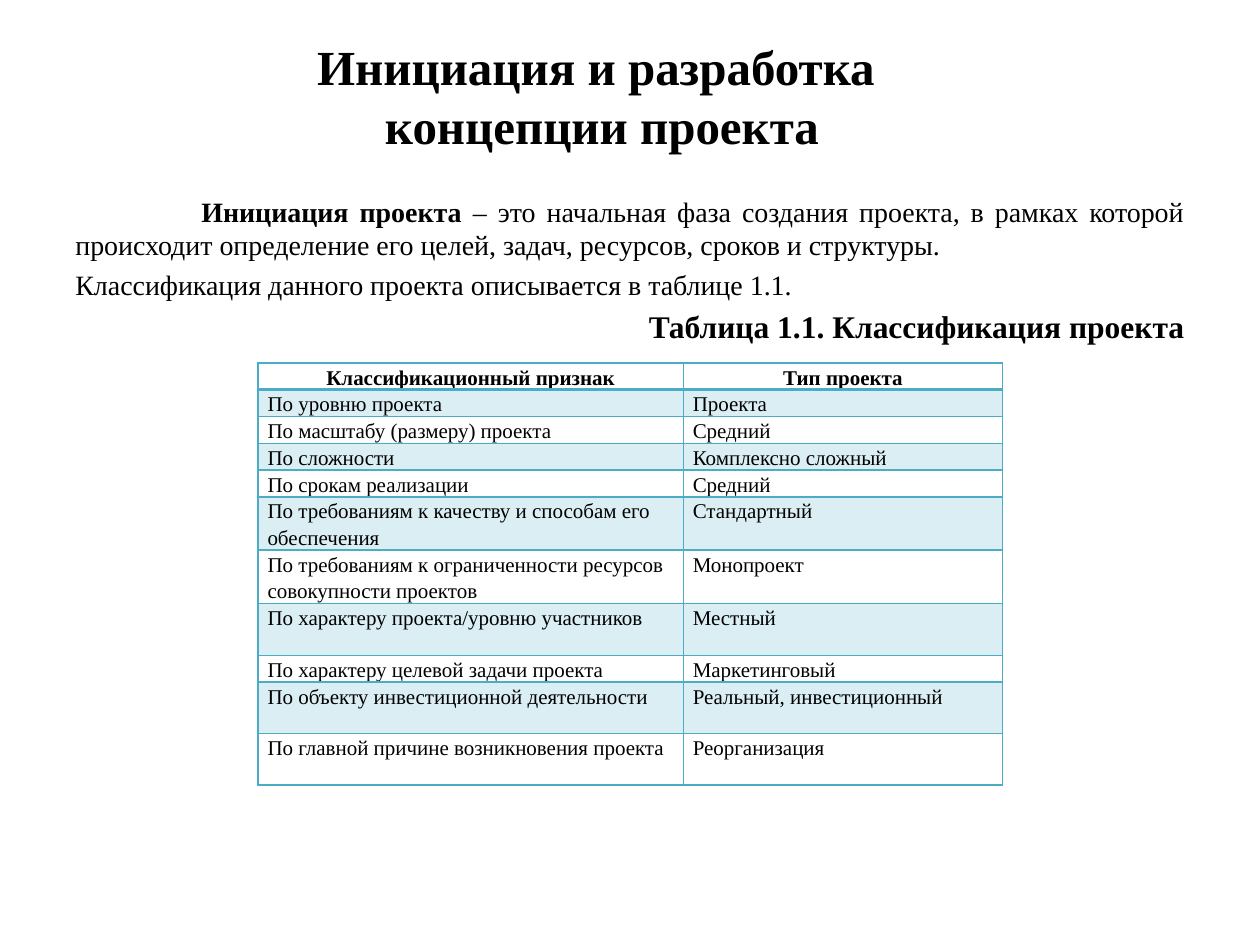
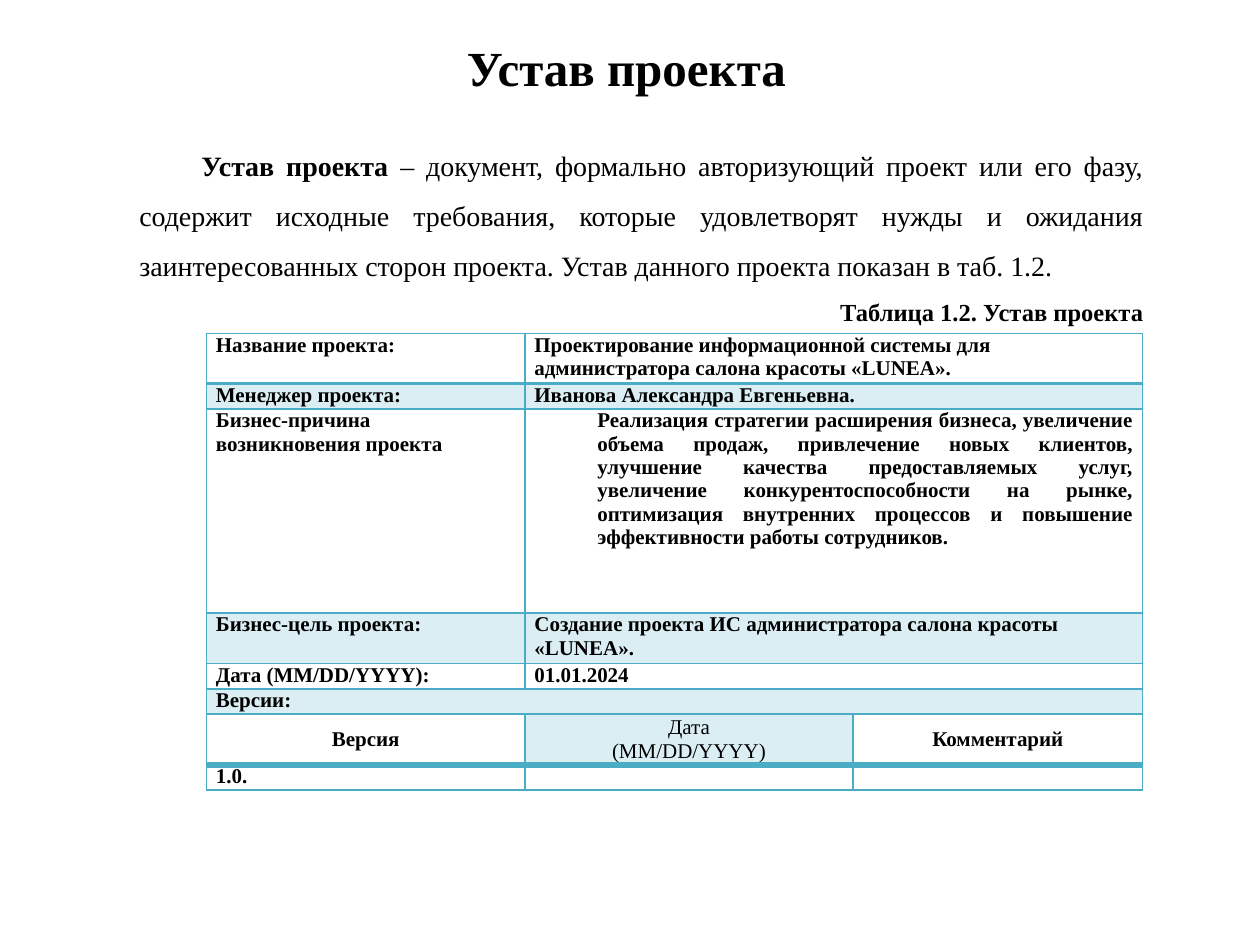
from lxml import etree
from pptx import Presentation
from pptx.dml.color import RGBColor
from pptx.enum.text import MSO_ANCHOR, PP_ALIGN
from pptx.oxml.ns import qn
from pptx.util import Pt

BLACK = RGBColor(0x00, 0x00, 0x00)
WHITE = RGBColor(0xFF, 0xFF, 0xFF)
TEAL = RGBColor(0x4B, 0xAC, 0xC6)
PALE_TEAL = RGBColor(0xDB, 0xEE, 0xF4)
FONT = "Times New Roman"
LEFT, CENTER, RIGHT, JUSTIFY = (
    PP_ALIGN.LEFT, PP_ALIGN.CENTER, PP_ALIGN.RIGHT, PP_ALIGN.JUSTIFY)
TOP, MIDDLE = MSO_ANCHOR.TOP, MSO_ANCHOR.MIDDLE
CELL_MARGINS = {"margin_left": Pt(5.4), "margin_right": Pt(5.4),
                "margin_top": 0, "margin_bottom": 0}

CLASSIFICATION = [
    ("Классификационный признак", "Тип проекта"),
    ("По уровню проекта", "Проекта"),
    ("По масштабу (размеру) проекта", "Средний"),
    ("По сложности", "Комплексно сложный"),
    ("По срокам реализации", "Средний"),
    ("По требованиям к качеству и способам его обеспечения", "Стандартный"),
    ("По требованиям к ограниченности ресурсов совокупности проектов", "Монопроект"),
    ("По характеру проекта/уровню участников", "Местный"),
    ("По характеру целевой задачи проекта", "Маркетинговый"),
    ("По объекту инвестиционной деятельности", "Реальный, инвестиционный"),
    ("По главной причине возникновения проекта", "Реорганизация"),
]
CHARTER = [
    ("Название проекта:",
     "Проектирование информационной системы для администратора салона красоты «LUNEA»."),
    ("Менеджер проекта:", "Иванова Александра Евгеньевна."),
    ("Бизнес-причина возникновения проекта",
     "Реализация стратегии расширения бизнеса, увеличение объема продаж, "
     "привлечение новых клиентов, улучшение качества предоставляемых услуг, "
     "увеличение конкурентоспособности на рынке, оптимизация внутренних процессов "
     "и повышение эффективности работы сотрудников."),
    ("Бизнес-цель проекта:",
     "Создание проекта ИС администратора салона красоты «LUNEA»."),
    ("Дата (MM/DD/YYYY):", "01.01.2024"),
    ("Версии:",),
    ("Версия", "Дата\n(MM/DD/YYYY)", "Комментарий"),
    ("1.0.", "", ""),
]


def set_values(target, values):
    """Set every attribute named in values on the target."""
    for name, value in values.items():
        setattr(target, name, value)


def write_paragraph(paragraph, runs, size, layout, indent=None):
    """Fill a paragraph with (text, bold) runs; indent is (left, first line)."""
    if indent:
        properties = paragraph._p.get_or_add_pPr()
        for name, points in zip(("marL", "indent"), indent):
            properties.set(name, str(Pt(points)))
    set_values(paragraph, layout)
    for text, bold in runs:
        for index, line in enumerate(text.split("\n")):
            if index:
                paragraph.add_line_break()
            run = paragraph.add_run()
            run.text = line
            set_values(run.font, {"name": FONT, "size": Pt(size), "bold": bold})
            run.font.color.rgb = BLACK


def add_text(slide, box, paragraphs, anchor=TOP):
    """Place a wrapping text box with the given paragraphs."""
    frame = slide.shapes.add_textbox(*map(Pt, box)).text_frame
    set_values(frame, {"word_wrap": True, "vertical_anchor": anchor})
    for index, content in enumerate(paragraphs):
        paragraph = frame.add_paragraph() if index else frame.paragraphs[0]
        write_paragraph(paragraph, *content)


def add_title(slide, box, title):
    """Place the centred bold title."""
    add_text(slide, box, [([(title, True)], 28, {"alignment": CENTER})], MIDDLE)


def add_grid(slide, origin, columns, heights):
    """Place an unstyled table and return it."""
    size = (sum(columns), sum(heights))
    table = slide.shapes.add_table(
        len(heights), len(columns), *map(Pt, origin + size)).table
    set_values(table, {"first_row": False, "horz_banding": False})
    for column, width in zip(table.columns, columns):
        column.width = Pt(width)
    for row, height in zip(table.rows, heights):
        row.height = Pt(height)
    return table


def border_cell(cell, top, bottom):
    """Draw teal borders with the given top and bottom widths."""
    sides = (("a:lnL", 1), ("a:lnR", 1), ("a:lnT", top), ("a:lnB", bottom))
    for position, (side, width) in enumerate(sides):
        line = etree.Element(qn(side), w=str(Pt(width)))
        fill = etree.SubElement(line, qn("a:solidFill"))
        etree.SubElement(fill, qn("a:srgbClr"), val=str(TEAL))
        cell._tc.get_or_add_tcPr().insert(position, line)


def write_cell(cell, text, fill, edges, bold, layout, anchor=TOP, indent=None):
    """Fill one table cell with text, colour and borders."""
    set_values(cell, {**CELL_MARGINS, "vertical_anchor": anchor})
    cell.fill.solid()
    cell.fill.fore_color.rgb = fill
    border_cell(cell, *edges)
    for index, line in enumerate(text.split("\n")):
        frame = cell.text_frame
        paragraph = frame.add_paragraph() if index else frame.paragraphs[0]
        write_paragraph(paragraph, [(line, bold)] if line else [], 12, layout, indent)
        if not line:
            etree.SubElement(paragraph._p, qn("a:endParaRPr"), sz="1200")


def add_classification(slide, origin):
    """Place the banded table of project classes."""
    line_height = 15.25
    heights = [line_height] * 5 + [2 * line_height] * 2 + [29.5, line_height, 29.5, 29.5]
    table = add_grid(slide, origin, (243, 182.5), heights)
    for r, row in enumerate(CLASSIFICATION):
        edges = (2 if r == 1 else 1, 2 if r == 0 else 1)
        layout = {"alignment": LEFT if r else CENTER, "line_spacing": Pt(line_height)}
        for c, text in enumerate(row):
            write_cell(table.cell(r, c), text, PALE_TEAL if r % 2 else WHITE,
                       edges, r == 0, layout)


def add_charter(slide, origin):
    """Place the project charter table with its version block."""
    heights = (28.5, 14.5, 116.5, 28.5, 14.5, 14.5, 28.5, 14.5)
    columns = (182, 187.5, 165.5)
    table = add_grid(slide, origin, columns, heights)
    edge_widths = {1: 2, 7: 4}
    reason, versions = 2, 6
    for r, row in enumerate(CHARTER):
        last = len(row) - 1
        if len(row) < len(columns):
            table.cell(r, last).merge(table.cell(r, len(columns) - 1))
        edges = (edge_widths.get(r, 1), edge_widths.get(r + 1, 1))
        for c, text in enumerate(row):
            is_date = (r, c) == (versions, 1)
            is_reason = (r, c) == (reason, 1)
            is_head = r == versions
            shaded = is_date or (r % 2 and r < versions)
            alignment = CENTER if is_head else JUSTIFY if is_reason else LEFT
            write_cell(table.cell(r, c), text, PALE_TEAL if shaded else WHITE, edges,
                       not is_date, {"alignment": alignment},
                       MIDDLE if is_head else TOP, (36, 0) if is_reason else None)


def build_initiation(slide):
    """Build the slide on project initiation."""
    spaced = {"space_before": Pt(3.5)}
    add_title(slide, (20, 9.5, 648, 90), "Инициация и разработка \nконцепции проекта")
    add_text(slide, (36, 107.5, 648, 360), [
        ([("Инициация проекта", True),
          (" – это начальная фаза создания проекта, в рамках которой происходит "
           "определение его целей, задач, ресурсов, сроков и структуры.", False)],
         16, {"alignment": JUSTIFY}, (0, 72)),
        ([("Классификация данного проекта описывается в таблице 1.1.", False)],
         16, {"alignment": JUSTIFY, **spaced}),
        ([("Таблица 1.1. Классификация проекта", True)],
         18, {"alignment": RIGHT, **spaced}),
    ])
    add_classification(slide, (147.5, 207.5))


def build_charter(slide):
    """Build the slide on the project charter."""
    add_title(slide, (34, 15, 648, 47), "Устав проекта")
    add_text(slide, (36.5, 71.5, 624, 142.5), [
        ([("Устав проекта", True),
          (" – документ, формально авторизующий проект или его фазу, содержит "
           "исходные требования, которые удовлетворят нужды и ожидания "
           "заинтересованных сторон проекта. Устав данного проекта показан в "
           "таб. 1.2.", False)],
         16, {"alignment": JUSTIFY, "line_spacing": 1.5}, (36, 35.5)),
        ([("Таблица 1.2. Устав проекта", True)],
         14, {"alignment": RIGHT, "line_spacing": 1.5}),
    ])
    add_charter(slide, (118, 190.5))


def main():
    """Build and save the presentation."""
    deck = Presentation()
    set_values(deck, {"slide_width": Pt(720), "slide_height": Pt(540)})
    blank = deck.slide_layouts[6]
    for build in (build_initiation, build_charter):
        build(deck.slides.add_slide(blank))
    deck.save("out.pptx")


if __name__ == "__main__":
    main()
